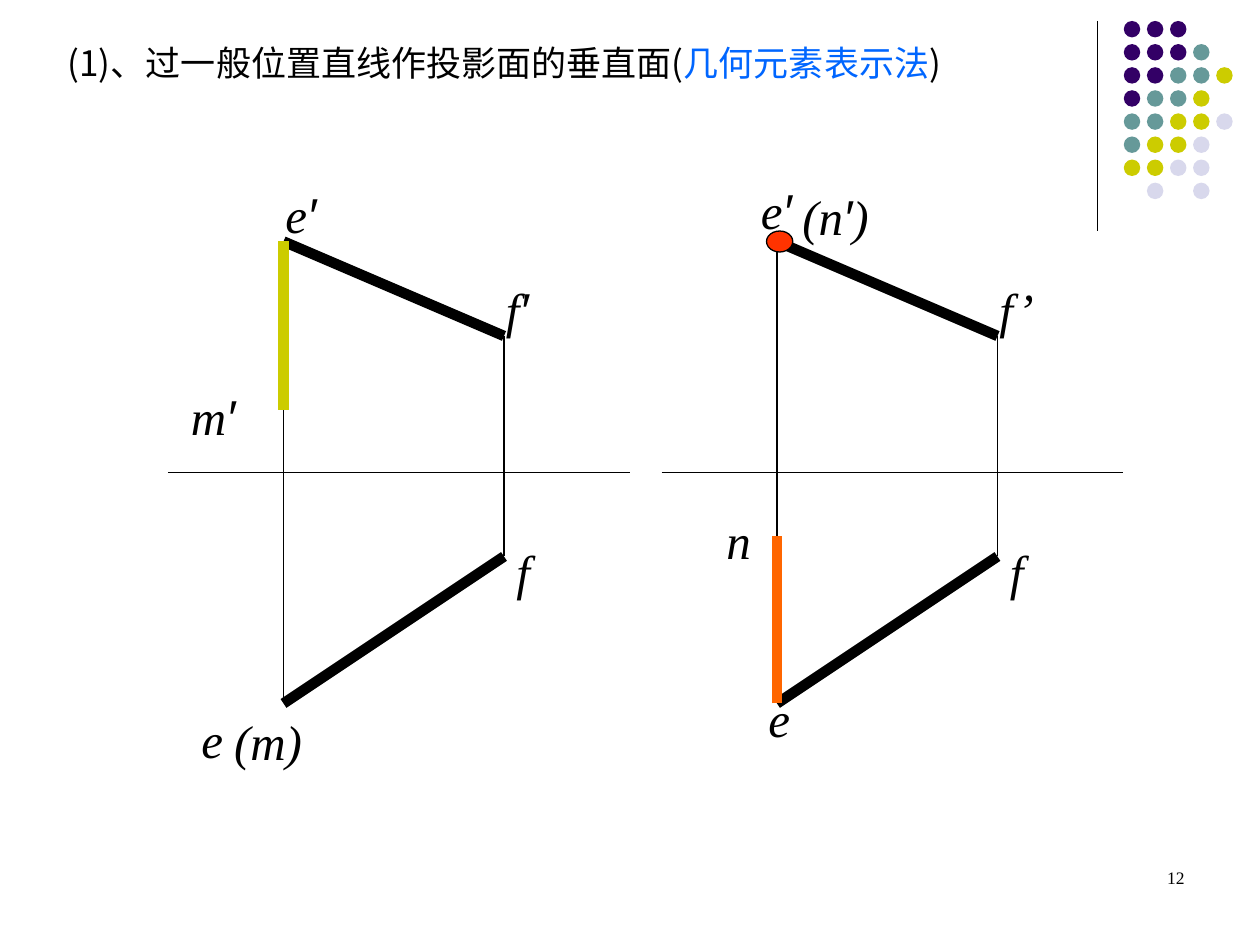
"""Build a slide on planes perpendicular to a projection plane through a line."""
from lxml import etree
from pptx import Presentation
from pptx import util as u
from pptx.dml.color import RGBColor
from pptx.enum import shapes, text
from pptx.oxml import ns

BLACK = RGBColor(0x00, 0x00, 0x00)
BLUE = RGBColor(0x00, 0x66, 0xFF)
RED = RGBColor(0xFF, 0x33, 0x00)
ORANGE = RGBColor(0xFF, 0x66, 0x00)
PURPLE = RGBColor(0x33, 0x00, 0x66)
TEAL = RGBColor(0x66, 0x99, 0x99)
LIME = RGBColor(0xCC, 0xCC, 0x00)
PALE = RGBColor(0xD8, 0xD8, 0xEC)

SANS, SERIF, PRIME = "Noto Sans CJK SC", "Times New Roman", "Arial"

TITLE = [("(1)、过一般位置直线作投影面的垂直面(", BLACK),
         ("几何元素表示法", BLUE), (")", BLACK)]
PAGE = "12"

DOTS = ["PPP", "PPPT", "PPTTL", "PTTL", "TTLLA", "TLLA", "LLAA", " A A"]
HUES = {"P": PURPLE, "T": TEAL, "L": LIME, "A": PALE}
DOT_X, DOT_Y, PITCH, DOT = 642.2, 12, 13.2, 9.4

SHIFTS = [0, 282]
FIGURE = [(96, 270, 360, 270, 0.75), (162, 138, 288, 192, 6),
          (162, 138, 162, 402, 0.75), (288, 192, 288, 318, 0.75),
          (288, 318, 162, 402, 6)]
EDGES = [(162, 138, 162, 234, LIME), (444, 402, 444, 306, ORANGE)]

LABELS = [("m′", 102, 217.5), ("e", 108, 402), ("(m)", 126.7, 403.2),
          ("f", 288, 306), ("f′", 282, 156), ("e′", 156, 102),
          ("f", 570, 306), ("f’", 564, 156), ("e", 432, 390),
          ("e′", 427.7, 99.4), ("n", 408, 288), ("(n′)", 451.4, 103)]


def write(box, runs, size, face=SERIF, slant=False, align=text.PP_ALIGN.LEFT):
    """Fill a shape with (text, colour) runs in one format."""
    frame = box.text_frame
    frame.word_wrap = True
    frame.auto_size = text.MSO_AUTO_SIZE.NONE
    frame.vertical_anchor = text.MSO_ANCHOR.TOP
    para = frame.paragraphs[0]
    para.alignment = align
    for words, hue in runs:
        run = para.add_run()
        run.text = words
        font = run.font
        font.size, font.italic = u.Pt(size), slant
        font.color.rgb = hue
        font.name = PRIME if words == "′" else face
        east = etree.SubElement(run._r.get_or_add_rPr(), ns.qn("a:ea"))
        east.set("typeface", font.name)


def place(deck, left, top, wide, high):
    """Add a text box measured in points."""
    return deck.add_textbox(u.Pt(left), u.Pt(top), u.Pt(wide), u.Pt(high))


def rule(deck, x1, y1, x2, y2, width, hue=BLACK):
    """Draw a straight line without a shadow."""
    line = deck.add_connector(shapes.MSO_CONNECTOR.STRAIGHT,
                              u.Pt(x1), u.Pt(y1), u.Pt(x2), u.Pt(y2))
    line.line.width = u.Pt(width)
    line.line.color.rgb = hue
    etree.SubElement(line._element.spPr, ns.qn("a:effectLst"))


def disc(deck, left, top, wide, high, hue, edge=None):
    """Draw a filled ellipse, outlined only when an edge colour is given."""
    oval = deck.add_shape(shapes.MSO_SHAPE.OVAL, u.Pt(left), u.Pt(top),
                          u.Pt(wide), u.Pt(high))
    oval.shadow.inherit = False
    oval.fill.solid()
    oval.fill.fore_color.rgb = hue
    if edge is None:
        oval.line.fill.background()
    else:
        oval.line.color.rgb = edge
        oval.line.width = u.Pt(0.75)


def main():
    """Assemble and save the slide."""
    show = Presentation()
    show.slide_width, show.slide_height = u.Pt(720), u.Pt(540)
    slide = show.slides.add_slide(show.slide_layouts[5])
    deck = slide.shapes

    head = deck.title
    head.left, head.top = u.Pt(31.5), u.Pt(20)
    head.width, head.height = u.Pt(579), u.Pt(32)
    write(head, TITLE, 20, face=SANS)

    rule(deck, 627, 12, 627, 132, 0.75)
    for row, marks in enumerate(DOTS):
        for col, mark in enumerate(marks):
            if mark in HUES:
                disc(deck, DOT_X + col * PITCH, DOT_Y + row * PITCH,
                     DOT, DOT, HUES[mark])

    for shift in SHIFTS:
        for x1, y1, x2, y2, width in FIGURE:
            rule(deck, x1 + shift, y1, x2 + shift, y2, width)
    for x1, y1, x2, y2, hue in EDGES:
        rule(deck, x1, y1, x2, y2, 6, hue)

    for label, left, top in LABELS:
        base, prime, tail = label.partition("′")
        runs = [(part, BLACK) for part in (base, prime, tail) if part]
        write(place(deck, left, top, 84, 41), runs, 28, slant=True)
    disc(deck, 438, 132, 15, 12, RED, edge=BLACK)

    write(place(deck, 516, 492, 168, 36), [(PAGE, BLACK)], 10,
          align=text.PP_ALIGN.RIGHT)
    show.save("out.pptx")


if __name__ == "__main__":
    main()
